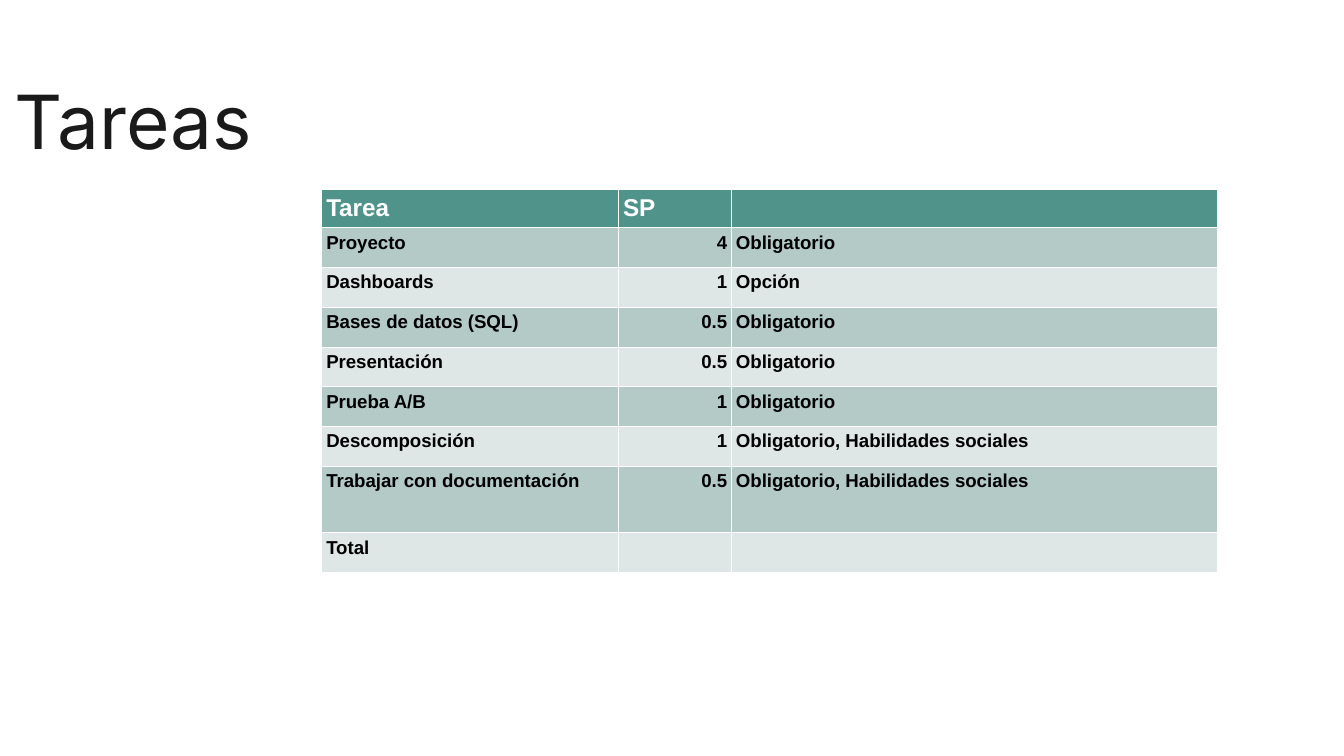
from lxml import etree
from pptx import Presentation
from pptx.dml.color import RGBColor
from pptx.enum.text import MSO_ANCHOR, PP_ALIGN
from pptx.oxml.ns import qn
from pptx.util import Pt

TOP = MSO_ANCHOR.TOP
LEFT, RIGHT = PP_ALIGN.LEFT, PP_ALIGN.RIGHT

# Content
TITLE = "Tareas"
ROWS = [
    ("Tarea", "SP", ""),
    ("Proyecto", "4", "Obligatorio"),
    ("Dashboards", "1", "Opción"),
    ("Bases de datos (SQL)", "0.5", "Obligatorio"),
    ("Presentación", "0.5", "Obligatorio"),
    ("Prueba A/B", "1", "Obligatorio"),
    ("Descomposición", "1", "Obligatorio, Habilidades sociales"),
    ("Trabajar con documentación", "0.5", "Obligatorio, Habilidades sociales"),
    ("Total", "", ""),
]

THEME = {
    "title_font": "Inter", "title_size": 40, "title_color": "1A1A1A",
    "table_font": "Arial", "header_size": 13, "body_size": 10,
    "header_color": "FFFFFF", "body_color": "000000",
    "header_fill": "50938A", "band_fills": ("DEE7E5", "B3CAC7"),
    "border": "FFFFFF", "border_width": 0.57,
}

# Layout in points
PAGE_SIZE = (720, 405)
TITLE_BOX = (8, 33, 671, 82)
TABLE_CORNER = (172.4, 101.7)
COLUMN_WIDTHS = (159, 60.5, 260.3)
HEADER_HEIGHT, ROW_HEIGHT, TALL_HEIGHT = 19.8, 21.3, 35.6
TALL_ROW = 7
CELL_MARGIN = 2.4


def style_font(font, name, size, color, bold=False):
    font.name = name
    font.size = Pt(size)
    font.bold = bold
    font.color.rgb = RGBColor.from_string(color)


def add_borders(cell):
    properties = cell._tc.get_or_add_tcPr()
    for side in ("a:lnL", "a:lnR", "a:lnT", "a:lnB"):
        line = etree.SubElement(properties, qn(side), w=str(Pt(THEME["border_width"])))
        fill = etree.SubElement(line, qn("a:solidFill"))
        etree.SubElement(fill, qn("a:srgbClr"), val=THEME["border"])


def fill_cell(cell, text, row, column):
    kind = "body" if row else "header"
    size = THEME[kind + "_size"]
    cell.margin_left = cell.margin_right = Pt(CELL_MARGIN)
    cell.margin_top = cell.margin_bottom = Pt(CELL_MARGIN)
    cell.vertical_anchor = TOP
    add_borders(cell)
    cell.fill.solid()
    color = THEME["band_fills"][row % 2] if row else THEME["header_fill"]
    cell.fill.fore_color.rgb = RGBColor.from_string(color)

    para = cell.text_frame.paragraphs[0]
    para.text = text
    para.alignment = RIGHT if row and column == 1 else LEFT
    for span in para.runs:
        style_font(span.font, THEME["table_font"], size, THEME[kind + "_color"], True)
    if not text:  # keeps an empty cell from stretching its row
        etree.SubElement(para._p, qn("a:endParaRPr"), sz=str(size * 100))


def add_title(page):
    box = page.shapes.add_textbox(*map(Pt, TITLE_BOX))
    frame = box.text_frame
    frame.word_wrap = True
    frame.vertical_anchor = TOP
    frame.margin_left = frame.margin_right = 0
    frame.margin_top = frame.margin_bottom = Pt(7.2)
    frame.text = TITLE
    style_font(frame.paragraphs[0].runs[0].font, THEME["title_font"],
               THEME["title_size"], THEME["title_color"])


def add_task_table(page):
    heights = [HEADER_HEIGHT] + [ROW_HEIGHT] * (len(ROWS) - 1)
    heights[TALL_ROW] = TALL_HEIGHT
    table = page.shapes.add_table(
        len(ROWS), len(COLUMN_WIDTHS), *map(Pt, TABLE_CORNER),
        Pt(sum(COLUMN_WIDTHS)), Pt(sum(heights))).table
    for column, width in zip(table.columns, COLUMN_WIDTHS):
        column.width = Pt(width)
    for r, (values, height) in enumerate(zip(ROWS, heights)):
        table.rows[r].height = Pt(height)
        for c, text in enumerate(values):
            fill_cell(table.cell(r, c), text, r, c)


def main():
    deck = Presentation()
    deck.slide_width, deck.slide_height = map(Pt, PAGE_SIZE)
    page = deck.slides.add_slide(deck.slide_layouts[6])
    add_title(page)
    add_task_table(page)
    deck.save("out.pptx")


if __name__ == "__main__":
    main()
